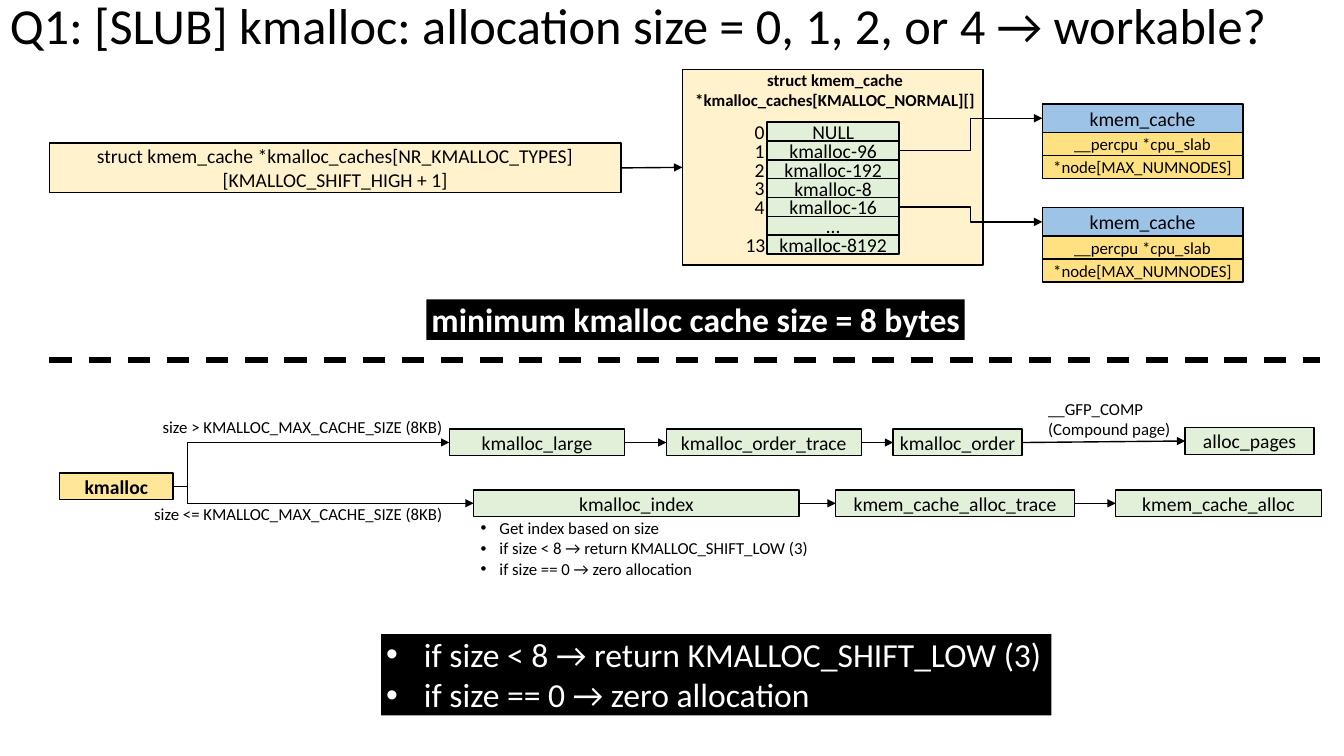
from dataclasses import dataclass
from typing import Any

import pptx
import pptx.dml.color
import pptx.enum.dml
import pptx.enum.shapes
import pptx.enum.text
import pptx.oxml.ns
import pptx.oxml.xmlchemy
import pptx.util
from lxml import etree

Pt = pptx.util.Pt
RGBColor = pptx.dml.color.RGBColor
ALIGN = pptx.enum.text.PP_ALIGN
ANCHOR = pptx.enum.text.MSO_ANCHOR
CONNECTOR = pptx.enum.shapes.MSO_CONNECTOR
qn = pptx.oxml.ns.qn

BLACK = RGBColor(0x00, 0x00, 0x00)
WHITE = RGBColor(0xFF, 0xFF, 0xFF)
GREEN = RGBColor(0xE2, 0xF0, 0xD9)
CREAM = RGBColor(0xFF, 0xF2, 0xCC)
GOLD = RGBColor(0xFF, 0xE6, 0x99)
AMBER = RGBColor(0xFF, 0xE1, 0x81)
BLUE = RGBColor(0x9D, 0xC3, 0xE6)

TIGHT = (3.6, 3.6, 3.6, 3.6)
NORMAL = (7.2, 3.6, 7.2, 3.6)
BANNER = (3.6, 0, 0, 0)
FLAT = (0, 3.6, 0, 3.6)


@dataclass
class Box:
    key: str
    text: str
    x: float
    y: float
    w: float
    h: float
    fill: RGBColor = GREEN
    size: float = 14
    bold: bool = False
    insets: tuple[float, ...] = TIGHT


@dataclass
class Label:
    text: str
    x: float
    y: float
    w: float
    h: float
    size: float = 12
    bold: bool = False
    color: RGBColor = BLACK
    fill: RGBColor | None = None
    align: Any = ALIGN.LEFT
    anchor: Any = ANCHOR.TOP
    insets: tuple[float, ...] = NORMAL
    indent: float = 0
    spacing: float = 1.0


@dataclass
class Link:
    start: str
    end: str
    bend: float | None = None


def apply(obj: Any, formats: dict[str, Any]) -> None:
    for name, value in formats.items():
        setattr(obj, name, value)


def add_bullet(p: Any, indent: float) -> None:
    pPr = p._p.get_or_add_pPr()
    pPr.set("marL", str(Pt(indent)))
    pPr.set("indent", str(-Pt(indent)))
    etree.SubElement(pPr, qn("a:buFont")).set("typeface", "Arial")
    etree.SubElement(pPr, qn("a:buChar")).set("char", "•")


def write(tf: Any, text: str, insets: tuple[float, ...], anchor: Any, align: Any,
          font: dict[str, Any], indent: float = 0, spacing: float = 1.0) -> None:
    left, top, right, bottom = (Pt(i) for i in insets)
    apply(tf, {"word_wrap": True, "vertical_anchor": anchor, "margin_left": left,
               "margin_top": top, "margin_right": right, "margin_bottom": bottom})
    for i, line in enumerate(text.split("\n")):
        p = tf.add_paragraph() if i else tf.paragraphs[0]
        apply(p, {"alignment": align, "line_spacing": spacing})
        if indent:
            add_bullet(p, indent)
        r = p.add_run()
        r.text = line
        apply(r.font, {"name": "Calibri"})
        r.font.color.rgb = font["color"]
        apply(r.font, {"size": Pt(font["size"]), "bold": font["bold"]})


def add_box(s: Any, box: Box) -> Any:
    sp = s.shapes.add_shape(pptx.enum.shapes.MSO_SHAPE.RECTANGLE,
                            Pt(box.x), Pt(box.y), Pt(box.w), Pt(box.h))
    sp.shadow.inherit = False
    sp.fill.solid()
    sp.fill.fore_color.rgb = box.fill
    sp.line.color.rgb = BLACK
    sp.line.width = Pt(1)
    if box.text:
        write(sp.text_frame, box.text, box.insets, ANCHOR.MIDDLE, ALIGN.CENTER,
              {"size": box.size, "bold": box.bold, "color": BLACK})
    return sp


def add_label(s: Any, label: Label) -> None:
    sp = s.shapes.add_textbox(Pt(label.x), Pt(label.y), Pt(label.w), Pt(label.h))
    if label.fill is not None:
        sp.fill.solid()
        sp.fill.fore_color.rgb = label.fill
    write(sp.text_frame, label.text, label.insets, label.anchor, label.align,
          {"size": label.size, "bold": label.bold, "color": label.color},
          label.indent, label.spacing)


def add_line(s: Any, kind: Any, ends: tuple[int, ...], width: float) -> Any:
    cxn = s.shapes.add_connector(kind, *ends)
    cxn.line.color.rgb = BLACK
    cxn.line.width = Pt(width)
    etree.SubElement(cxn._element.spPr, qn("a:effectLst"))
    return cxn


def add_link(s: Any, link: Link, shapes: dict[str, Any]) -> None:
    a, b = shapes[link.start], shapes[link.end]
    kind = CONNECTOR.STRAIGHT if link.bend is None else CONNECTOR.ELBOW
    ends = (a.left + a.width, a.top + a.height // 2, b.left, b.top + b.height // 2)
    cxn = add_line(s, kind, ends, 1)
    cxn.begin_connect(a, 3)
    cxn.end_connect(b, 1)
    spPr = cxn._element.spPr
    etree.SubElement(spPr.find(qn("a:ln")), qn("a:tailEnd")).set("type", "triangle")
    if link.bend is not None:
        gd = etree.SubElement(spPr.find(".//" + qn("a:avLst")), qn("a:gd"))
        gd.set("name", "adj1")
        gd.set("fmla", f"val {round(link.bend * 100000)}")


ROW_H = 19
LARGE_Y, SMALL_Y = 306.6, 350
SLOT_Y, SLOT_PITCH = 87.3, 13.45
SLOTS = [("0", "NULL"), ("1", "kmalloc-96"), ("2", "kmalloc-192"), ("3", "kmalloc-8"),
         ("4", "kmalloc-16"), ("", "…"), ("13", "kmalloc-8192")]
CACHES = {"cache-96": 74.2, "cache-16": 148.2}
CACHE_ROWS = [("kmem_cache", 0, 20.6, BLUE, 14, FLAT),
              ("__percpu *cpu_slab", 20.4, 16.5, AMBER, 12, NORMAL),
              ("*node[MAX_NUMNODES]", 36.8, 16.5, AMBER, 12, NORMAL)]

BOXES = [
    Box("kmalloc", "kmalloc", 42.5, 338, 81.2, ROW_H, GOLD, bold=True),
    Box("large", "kmalloc_large", 321, LARGE_Y, 125.3, ROW_H),
    Box("order_trace", "kmalloc_order_trace", 476, LARGE_Y, 139.3, ROW_H),
    Box("order", "kmalloc_order", 638, LARGE_Y, 92, ROW_H),
    Box("pages", "alloc_pages", 846.6, 305.5, 92, ROW_H),
    Box("index", "kmalloc_index", 338.4, SMALL_Y, 232.5, ROW_H),
    Box("alloc_trace", "kmem_cache_alloc_trace", 597, SMALL_Y, 170.6, ROW_H),
    Box("alloc", "kmem_cache_alloc", 797, SMALL_Y, 147, ROW_H),
    Box("types", "struct kmem_cache *kmalloc_caches[NR_KMALLOC_TYPES][KMALLOC_SHIFT_HIGH + 1]",
        35.3, 102.2, 408.3, 35.5, CREAM, insets=NORMAL),
    Box("normal", "", 487.4, 49.7, 214.8, 139.7, CREAM),
]
BOXES += [Box(name, name, 548, SLOT_Y + i * SLOT_PITCH, 94.3, 13.6, insets=NORMAL)
          for i, (_, name) in enumerate(SLOTS)]
BOXES += [Box(key if dy == 0 else key + text, text, 744.5, y + dy, 143.3, h, fill, size,
              insets=insets)
          for key, y in CACHES.items() for text, dy, h, fill, size, insets in CACHE_ROWS]

LABELS = [
    Label("Q1: [SLUB] kmalloc: allocation size = 0, 1, 2, or 4 → workable?",
          0, 0, 952, 39.6, 36, anchor=ANCHOR.MIDDLE, spacing=0.9),
    Label("struct kmem_cache *kmalloc_caches[KMALLOC_NORMAL][]", 486.7, 46.1, 219.6, 36,
          bold=True, align=ALIGN.CENTER),
    Label("size > KMALLOC_MAX_CACHE_SIZE (8KB)", 109, 294.5, 224.6, 21.6),
    Label("size <= KMALLOC_MAX_CACHE_SIZE (8KB)", 103, 356.4, 224.6, 21.6),
    Label("__GFP_COMP\n(Compound page)", 741.6, 281.5, 103, 36),
    Label("Get index based on size\nif size < 8 → return KMALLOC_SHIFT_LOW (3)\n"
          "if size == 0 → zero allocation", 336.2, 366.5, 307.4, 51, indent=13.5),
    Label("minimum kmalloc cache size = 8 bytes", 304.6, 213.8, 384.5, 29, 24, True,
          WHITE, BLACK, insets=BANNER),
    Label("if size < 8 → return KMALLOC_SHIFT_LOW (3)\nif size == 0 → zero allocation",
          272.2, 452.9, 478.8, 58.2, 24, False, WHITE, BLACK, insets=BANNER, indent=27),
]
LABELS += [Label(index, 532 - 6.5 * (len(index) - 1), 82.1 + i * SLOT_PITCH, 28.8, 24.2, 14)
           for i, (index, _) in enumerate(SLOTS) if index]

LINKS = [
    Link("kmalloc", "large", 0.053), Link("kmalloc", "index", 0.047),
    Link("large", "order_trace"), Link("order_trace", "order"), Link("order", "pages"),
    Link("index", "alloc_trace"), Link("alloc_trace", "alloc"), Link("types", "normal"),
    Link("kmalloc-96", "cache-96", 0.5), Link("kmalloc-16", "cache-16", 0.5),
]


def main() -> None:
    prs = pptx.Presentation()
    apply(prs, {"slide_width": Pt(960), "slide_height": Pt(540)})
    s = prs.slides.add_slide(prs.slide_layouts[6])
    shapes = {box.key: add_box(s, box) for box in BOXES}
    for label in LABELS:
        add_label(s, label)
    for link in LINKS:
        add_link(s, link, shapes)
    divider = add_line(s, CONNECTOR.STRAIGHT, (Pt(35.3), Pt(257), Pt(943.2), Pt(257)), 4)
    divider.line.dash_style = pptx.enum.dml.MSO_LINE.DASH
    prs.save("out.pptx")


if __name__ == "__main__":
    main()
